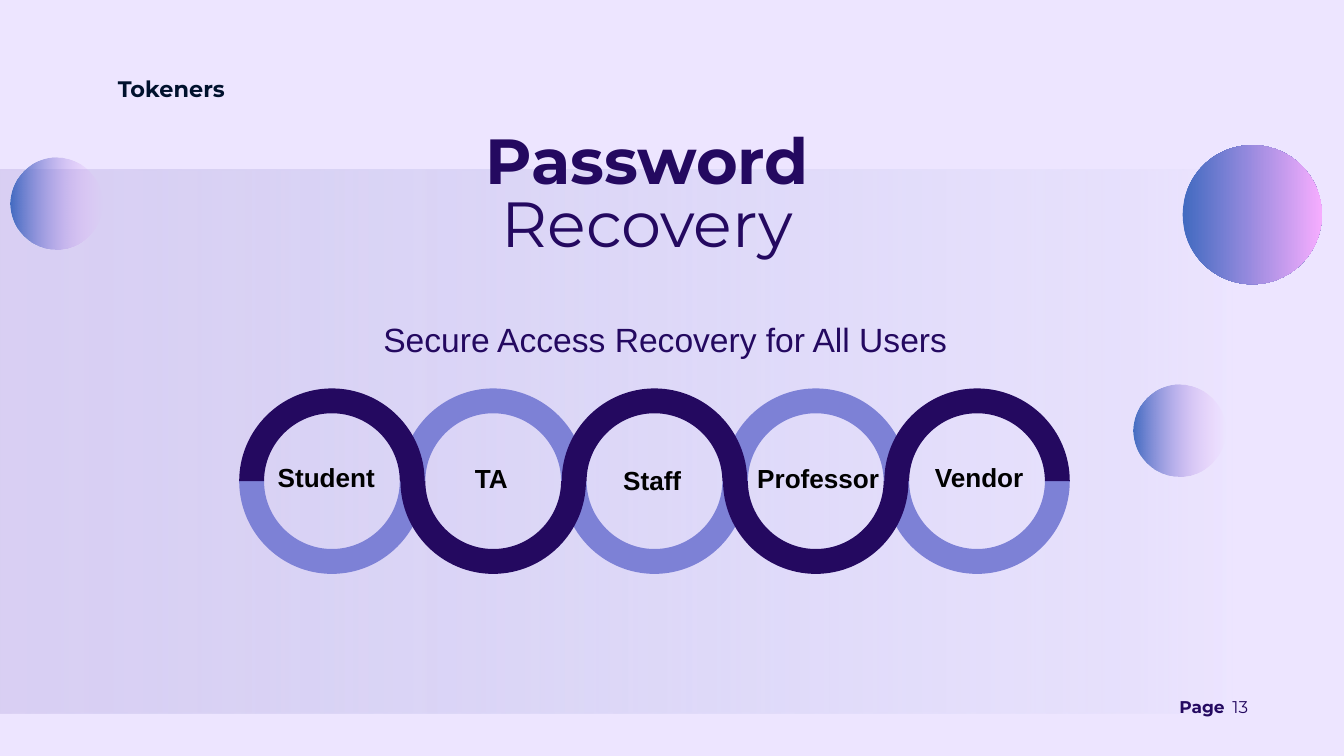
from lxml import etree
from pptx import Presentation
from pptx.dml.color import RGBColor
from pptx.enum.shapes import MSO_SHAPE
from pptx.enum.text import MSO_ANCHOR, MSO_AUTO_SIZE, PP_ALIGN
from pptx.oxml.ns import qn
from pptx.util import Pt

PX = 9144  # EMU per px, 100 px to the inch
RECT, OVAL = MSO_SHAPE.RECTANGLE, MSO_SHAPE.OVAL
LEFT, CENTER = PP_ALIGN.LEFT, PP_ALIGN.CENTER
TOP, GROW = MSO_ANCHOR.TOP, MSO_AUTO_SIZE.SHAPE_TO_FIT_TEXT
COLORS = {
    "bg": "EDE5FF", "panel": "D9CFF3", "panel_mid": "C7C9F0",
    "purple": "240960", "lilac": "7D81D6", "navy": "00112D",
    "blue": "3C67BF", "pink": "F7ACFF", "black": "000000",
}

prs = Presentation()
prs.slide_width, prs.slide_height = 2000 * PX, 1125 * PX
s = prs.slides.add_slide(prs.slide_layouts[5])
s.background.fill.solid()
s.background.fill.fore_color.rgb = RGBColor.from_string(COLORS["bg"])


def add_text(text, x, y, w, h, sp=None, size=28, font="Arial", color="purple",
             bold=False, align=CENTER, spacing=None, inset=(0, 0)):
    """Write one line of text in a new text box, or in the given shape."""
    sp = sp or s.shapes.add_textbox(0, 0, 0, 0)
    sp.left, sp.top, sp.width, sp.height = (v * PX for v in (x, y, w, h))
    tf = sp.text_frame
    tf.word_wrap, tf.auto_size, tf.vertical_anchor = True, GROW, TOP
    tf.margin_left = tf.margin_right = inset[0] * PX
    tf.margin_top = tf.margin_bottom = inset[1] * PX
    p = tf.paragraphs[0]
    p.alignment = align
    if spacing:
        p.line_spacing = spacing
    r = p.add_run()
    r.text = text
    r.font.size, r.font.name, r.font.bold = Pt(size), font, bold
    r.font.color.rgb = RGBColor.from_string(COLORS[color])


def add_gradient(kind, x, y, w, h, stops):
    """Add a shape with a left-to-right gradient of (position %, colour, alpha %)."""
    sp = s.shapes.add_shape(kind, x * PX, y * PX, w * PX, h * PX)
    sp.shadow.inherit = False
    sp.line.fill.background()
    sp.fill.gradient()
    sp.fill.gradient_angle = 0
    stop_list = sp.element.find(".//" + qn("a:gsLst"))
    for gs in list(stop_list):
        stop_list.remove(gs)
    for pos, color, alpha in stops:
        gs = etree.SubElement(stop_list, qn("a:gs"), pos=str(pos * 1000))
        clr = etree.SubElement(gs, qn("a:srgbClr"), val=COLORS[color])
        etree.SubElement(clr, qn("a:alpha"), val=str(alpha * 1000))


# Panel and gradient balls
add_gradient(RECT, 0, 252, 1834, 810,
             [(0, "panel", 100), (83, "panel_mid", 18), (100, "bg", 39)])
for x, y, d, end_alpha in [(1687, 572, 137, 0), (1760, 216, 207, 96), (16, 235, 137, 0)]:
    add_gradient(OVAL, x, y, d, d, [(0, "blue", 96), (100, "pink", end_alpha)])

# Title, brought in front of the panel
title = s.shapes.title
title.element.getparent().append(title.element)
heading = dict(size=68.3, font="Montserrat", spacing=0.8)
add_text("Password", 563, 202, 800, 92, sp=title, bold=True, **heading)
add_text("Recovery", 721, 295, 485, 92, **heading)
add_text("Secure Access Recovery for All Users", 535, 469, 910, 71,
         size=36, inset=(10, 5))

# Chain of rings: the dark half alternates between top and bottom
RING_X, RING_Y, PITCH = 494, 716, 240
OUTER, INNER = 138, 101
K = 0.55  # control point distance of a quarter circle
half_circle = [(1, 0), (1, K), (K, 1), (0, 1), (-K, 1), (-1, K), (-1, 0)]
outline = ([(OUTER * u, OUTER * v) for u, v in half_circle]
           + [(INNER * u, INNER * v) for u, v in reversed(half_circle)])
for color in ("lilac", "purple"):
    for i in range(5):
        cx = RING_X + PITCH * i
        is_top = (i % 2 == 0) == (color == "purple")
        side = -1 if is_top else 1
        points = [((cx + dx) * PX, (RING_Y + side * dy) * PX) for dx, dy in outline]
        fb = s.shapes.build_freeform(*points[0])
        fb.add_line_segments(points[1:], close=True)
        half = fb.convert_to_shape()
        half.shadow.inherit = False
        half.fill.solid()
        half.fill.fore_color.rgb = RGBColor.from_string(COLORS[color])
        half.line.fill.background()
        # Join each three points of a quarter circle into one curve
        lines = half.element.findall(".//" + qn("a:lnTo"))
        for first in (0, 3, 7, 10):
            curve = etree.Element(qn("a:cubicBezTo"))
            lines[first].addprevious(curve)
            for line in lines[first:first + 3]:
                curve.append(line[0])
                line.getparent().remove(line)

# Ring labels
for label, x, y, w in [("Student", 396, 682, 179), ("TA", 648, 683, 166),
                       ("Staff", 910, 686, 121), ("Professor", 1107, 683, 221),
                       ("Vendor", 1374, 681, 166)]:
    add_text(label, x, y, w, 57, color="black", bold=True, inset=(10, 5))

# Header and page number
add_text("Tokeners", 152, 61, 206, 66, size=24, font="Montserrat",
         color="navy", bold=True, spacing=2.28)
footer = dict(size=18.2, font="Montserrat", align=LEFT, spacing=1.02)
add_text("Page", 1755, 1036, 79, 31, bold=True, **footer)
add_text("13", 1834, 1036, 39, 31, **footer)

prs.save("out.pptx")
